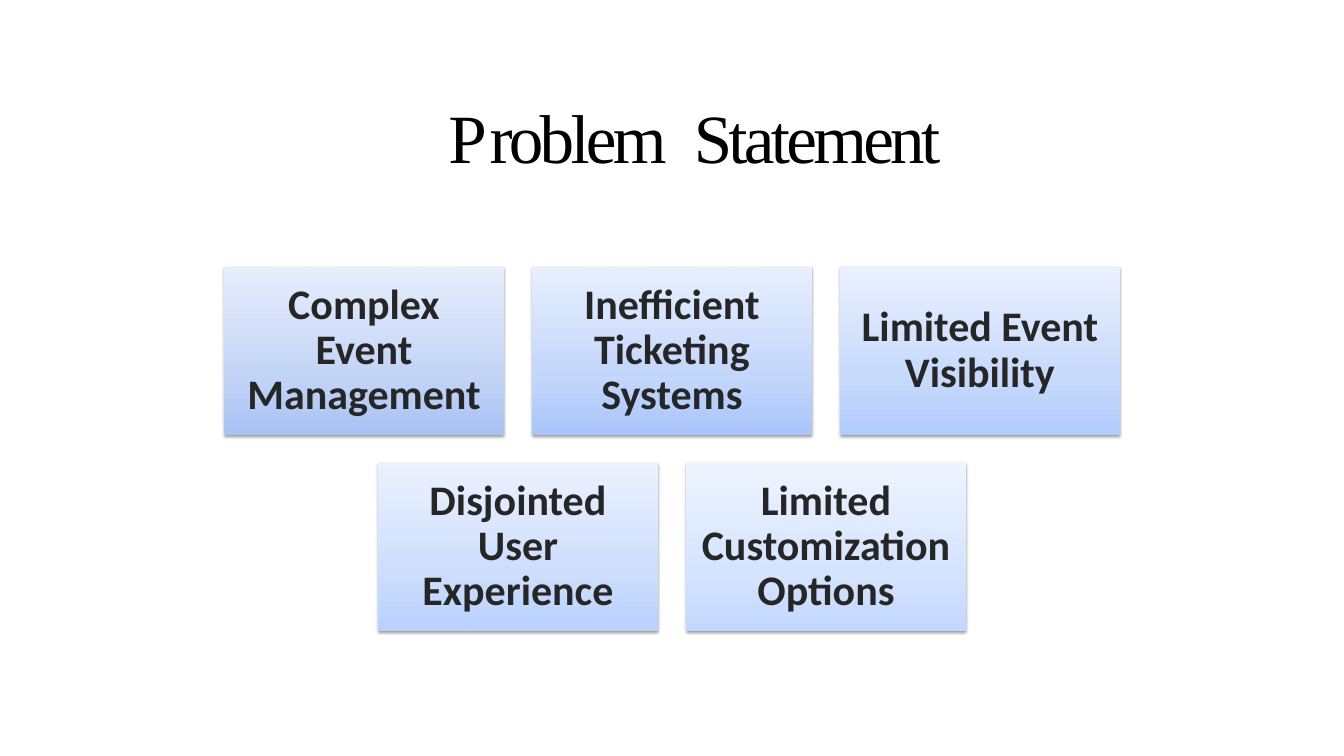
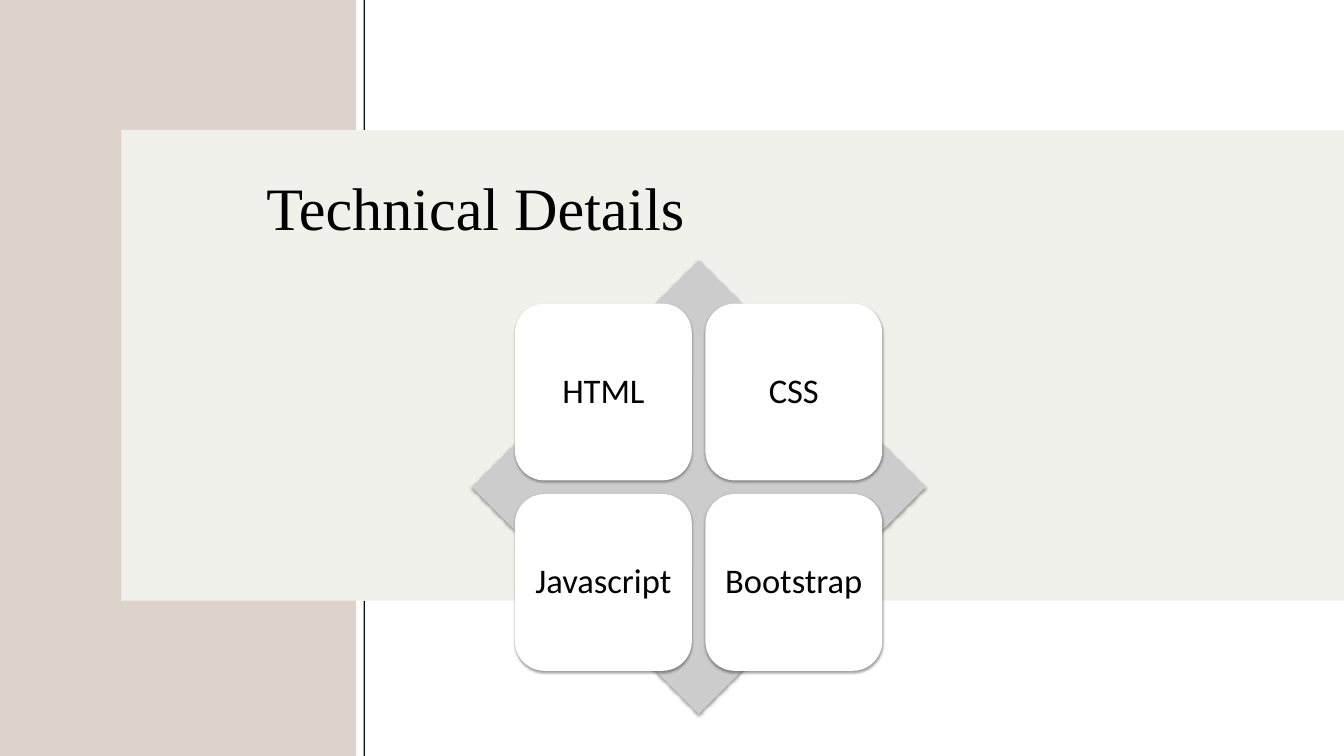
from dataclasses import dataclass
from itertools import product

from lxml.etree import SubElement
from pptx import Presentation
from pptx.dml.color import RGBColor
from pptx.enum.shapes import MSO_SHAPE as SHAPE
from pptx.enum.text import MSO_ANCHOR as ANCHOR, PP_ALIGN as ALIGN
from pptx.oxml.ns import qn
from pptx.shapes.autoshape import Shape
from pptx.slide import Slide
from pptx.util import Pt

SLIDE_W, SLIDE_H = 1440, 810
BLACK = RGBColor(0x00, 0x00, 0x00)
WHITE = RGBColor(0xFF, 0xFF, 0xFF)
CARD_TEXT = RGBColor(0x26, 0x26, 0x26)
RULE = RGBColor(0x0F, 0x0E, 0x0D)
SAND = RGBColor(0xDE, 0xD3, 0xCA)
IVORY = RGBColor(0xF1, 0xF1, 0xEB)
GREY = RGBColor(0xCC, 0xCC, 0xCC)
TITLE_FONT, BODY_FONT = "Times New Roman", "Calibri"


@dataclass(frozen=True)
class Box:
    left: float
    top: float
    width: float
    height: float

    def lengths(self) -> tuple[Pt, Pt, Pt, Pt]:
        return Pt(self.left), Pt(self.top), Pt(self.width), Pt(self.height)


@dataclass(frozen=True)
class TextStyle:
    font: str
    size: float
    color: RGBColor
    bold: bool = False
    line_spacing: float = 1.0
    inset: float = 0


@dataclass(frozen=True)
class Span:
    text: str
    spacing: float = 0


@dataclass(frozen=True)
class Card:
    text: str
    stops: tuple[RGBColor, RGBColor, RGBColor]


def shades(*codes: str) -> tuple[RGBColor, ...]:
    return tuple(RGBColor.from_string(code) for code in codes)


CARD_STYLE = TextStyle(BODY_FONT, 45, CARD_TEXT, True, 0.9, 13.7)
TILE_STYLE = TextStyle(BODY_FONT, 37, BLACK, False, 0.9, 10.5)
CARD_ROWS = (
    (
        Card("Complex Event Management", shades("A8C2F4", "C2D4F6", "E7EEFD")),
        Card("Inefficient Ticketing Systems", shades("A9C5FB", "C3D6FB", "E7EFFF")),
        Card("Limited Event Visibility", shades("B0CBFD", "C7DAFC", "E9F0FF")),
    ),
    (
        Card("Disjointed User Experience", shades("B9D1FE", "CDDEFD", "EBF2FF")),
        Card("Limited Customization Options", shades("C3D8FE", "D4E3FE", "EEF4FF")),
    ),
)
CARD_TOP, CARD_W, CARD_H, CARD_GAP = 286, 300, 180, 30
TECHNOLOGIES = ("HTML", "CSS", "Javascript", "Bootstrap")
DIAMOND = Box(505.5, 279, 486, 486)
TILE, TILE_GAP = 189.5, 14.5
BAND_W = 381.5
RULE_LEFT, RULE_W = 389.5, 1.5
PANEL = Box(130, 139.5, SLIDE_W - 130, 504)


def add_shape(s: Slide, kind: SHAPE, box: Box, color: RGBColor) -> Shape:
    sp = s.shapes.add_shape(kind, *box.lengths())
    sp.shadow.inherit = False
    sp.fill.solid()
    sp.fill.fore_color.rgb = color
    sp.line.fill.background()
    return sp


def add_shadow(sp: Shape) -> None:
    effects = sp._element.spPr.find(qn("a:effectLst"))
    shadow = SubElement(effects, qn("a:outerShdw"), blurRad=str(Pt(3.1)),
                        dist=str(Pt(1.6)), dir="5400000", rotWithShape="0")
    color = SubElement(shadow, qn("a:srgbClr"), val=str(BLACK))
    SubElement(color, qn("a:alpha"), val="38000")


def set_gradient(sp: Shape, stops: tuple[RGBColor, ...]) -> None:
    sp.fill.gradient()
    sp.fill.gradient_angle = 90
    stop_list = sp._element.spPr.find(qn("a:gradFill")).find(qn("a:gsLst"))
    stop_list.clear()
    for position, color in zip((0, 35, 100), stops):
        stop = SubElement(stop_list, qn("a:gs"), pos=str(position * 1000))
        SubElement(stop, qn("a:srgbClr"), val=str(color))


def write(sp: Shape, spans: tuple[Span, ...], style: TextStyle) -> None:
    tf = sp.text_frame
    tf.word_wrap = True
    tf.margin_left = tf.margin_right = Pt(style.inset)
    tf.margin_top = tf.margin_bottom = Pt(style.inset)
    p = tf.paragraphs[0]
    p.alignment = ALIGN.CENTER
    p.line_spacing = style.line_spacing
    p.font.name = style.font
    p.font.size = Pt(style.size)
    p.font.bold = style.bold
    p.font.color.rgb = style.color
    for span in spans:
        r = p.add_run()
        r.text = span.text
        if span.spacing:
            r._r.get_or_add_rPr().set("spc", str(round(span.spacing * 100)))


def add_title(s: Slide, box: Box, size: float, *spans: Span) -> None:
    sp = s.shapes.add_textbox(*box.lengths())
    write(sp, spans, TextStyle(TITLE_FONT, size, BLACK))


def add_label_shape(s: Slide, kind: SHAPE, box: Box, text: str, style: TextStyle) -> Shape:
    sp = add_shape(s, kind, box, WHITE)
    add_shadow(sp)
    write(sp, (Span(text),), style)
    sp.text_frame.vertical_anchor = ANCHOR.MIDDLE
    return sp


def build_problem_statement(s: Slide) -> None:
    add_title(s, Box(402, 101, 684, 91), 74, Span("P", 2.9), Span("roblem", -4),
              Span(" ", 10.5), Span("Statement", -4))
    for row, cards in enumerate(CARD_ROWS):
        row_w = len(cards) * (CARD_W + CARD_GAP) - CARD_GAP
        top = CARD_TOP + row * (CARD_H + CARD_GAP)
        for column, card in enumerate(cards):
            left = (SLIDE_W - row_w) / 2 + column * (CARD_W + CARD_GAP)
            box = Box(left, top, CARD_W, CARD_H)
            sp = add_label_shape(s, SHAPE.RECTANGLE, box, card.text, CARD_STYLE)
            set_gradient(sp, card.stops)


def build_technical_details(s: Slide) -> None:
    panel_bottom = PANEL.top + PANEL.height
    for top, bottom in ((panel_bottom, SLIDE_H), (0, PANEL.top)):
        add_shape(s, SHAPE.RECTANGLE, Box(RULE_LEFT, top, RULE_W, bottom - top), RULE)
    add_shape(s, SHAPE.RECTANGLE, Box(0, 0, BAND_W, SLIDE_H), SAND)
    add_shape(s, SHAPE.RECTANGLE, PANEL, IVORY)
    add_title(s, Box(182, 182, 655, 79), 64.5, Span("Technical Details"))
    add_shadow(add_shape(s, SHAPE.DIAMOND, DIAMOND, GREY))
    pitch = TILE + TILE_GAP
    margin = (DIAMOND.width - TILE - pitch) / 2
    for text, (row, column) in zip(TECHNOLOGIES, product(range(2), repeat=2)):
        box = Box(DIAMOND.left + margin + column * pitch,
                  DIAMOND.top + margin + row * pitch, TILE, TILE)
        add_label_shape(s, SHAPE.ROUNDED_RECTANGLE, box, text, TILE_STYLE)


def main() -> None:
    prs = Presentation()
    prs.slide_width, prs.slide_height = Pt(SLIDE_W), Pt(SLIDE_H)
    for build in (build_problem_statement, build_technical_details):
        build(prs.slides.add_slide(prs.slide_layouts[6]))
    prs.save("out.pptx")


if __name__ == "__main__":
    main()
